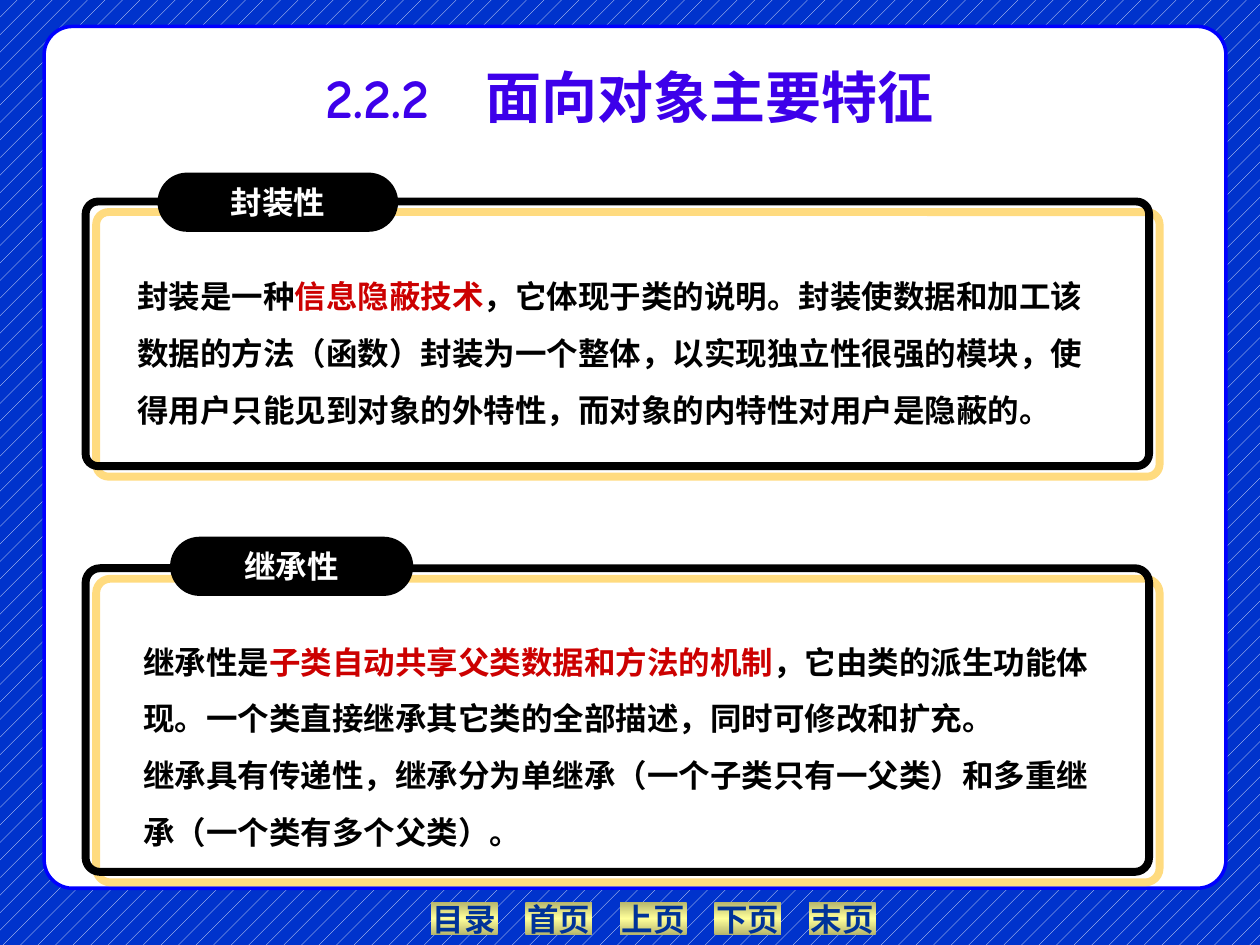
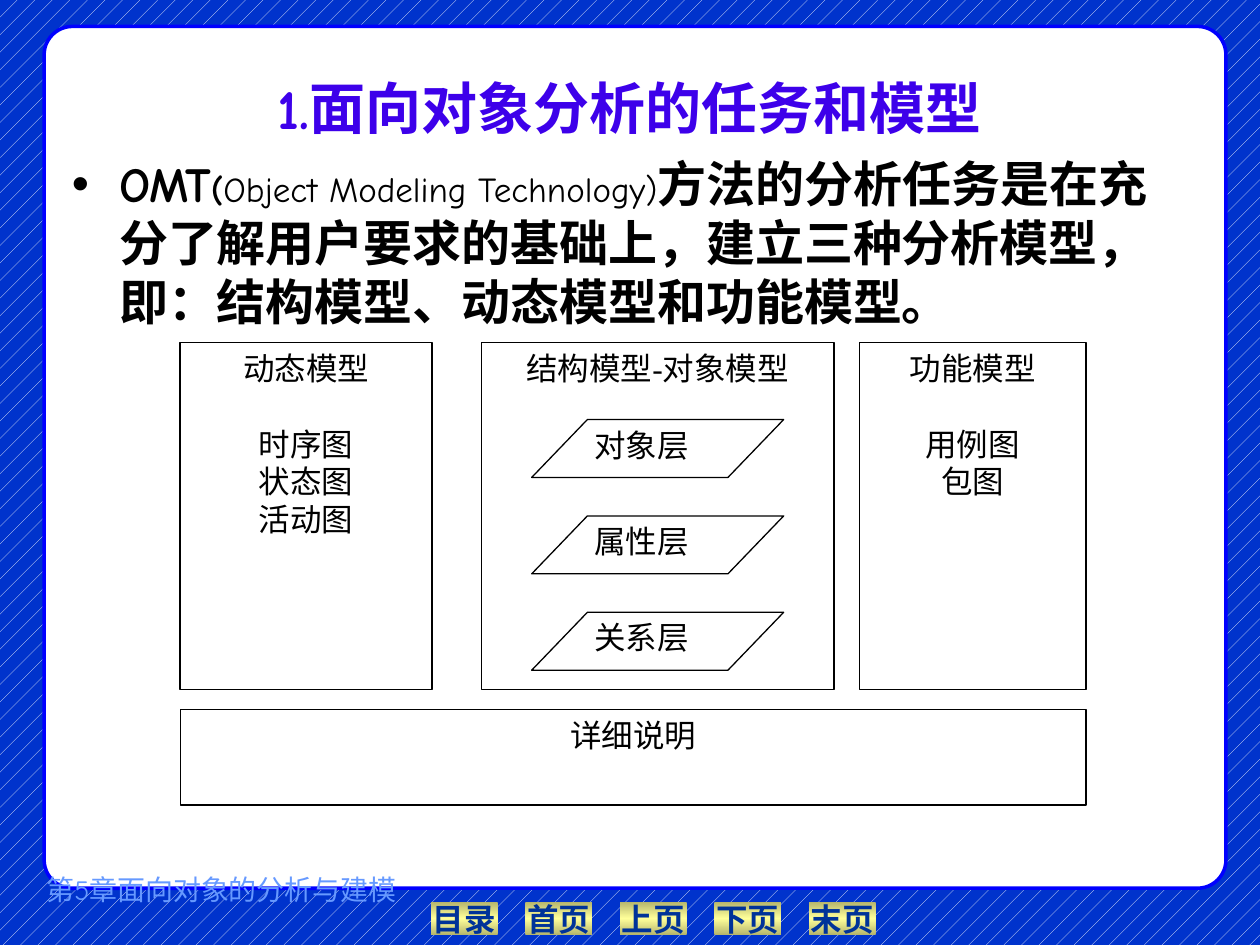
from lxml.etree import SubElement
from pptx import Presentation
from pptx.dml.color import RGBColor
from pptx.enum.dml import MSO_PATTERN
from pptx.enum.shapes import MSO_SHAPE
from pptx.enum.text import MSO_ANCHOR, MSO_AUTO_SIZE, PP_ALIGN
from pptx.oxml.ns import qn
from pptx.util import Inches, Pt

COLORS = {
    "backdrop": "0033CC", "white": "FFFFFF", "black": "000000",
    "frame": "0000FF", "title": "3D00EA", "accent": "CC0000",
    "shadow": "FFB800", "button_edge": "B6B66D", "button_middle": "FFFF99",
    "button_text": "003399", "chapter": "6699FF",
}
COMIC = "Comic Neue"
TIMES = "Times New Roman"
CHINESE = "Noto Sans CJK SC"
LINE_HEIGHT = 1.2

BUTTONS = ["目录", "首页", "上页", "下页", "末页"]

FEATURES_TITLE = "2.2.2　面向对象主要特征"
FEATURES = [
    {"name": "继承性", "card": (0.68, 4.51, 8.44, 2.41),
     "pill": (1.35, 4.26, 1.93, 0.47), "body": (1.04, 4.9, 7.88, 1.91),
     "paragraphs": [
         [("继承性是", "black"), ("子类自动共享父类数据和方法的机制", "accent"),
          ("，它由类的派生功能体现。一个类直接继承其它类的全部描述，同时可修改和扩充。", "black")],
         [("继承具有传递性，继承分为单继承（一个子类只有一父类）和多重继承（一个类有多个父类）。", "black")]]},
    {"name": "封装性", "card": (0.68, 1.6, 8.44, 2.1),
     "pill": (1.25, 1.37, 1.91, 0.47), "body": (0.99, 2, 7.88, 1.45),
     "paragraphs": [
         [("封装是一种", "black"), ("信息隐蔽技术", "accent"),
          ("，它体现于类的说明。封装使数据和加工该数据的方法（函数）封装为一个整体，"
           "以实现独立性很强的模块，使得用户只能见到对象的外特性，而对象的内特性对用户是隐蔽的。", "black")]]},
]

MODELS_TITLE = "1.面向对象分析的任务和模型"
MODELS_INTRO = [
    ("OMT", 28, True), ("(", 20, True), ("Object Modeling Technology)", 20, False),
    ("方法的分析任务是在充分了解用户要求的基础上，建立三种分析模型，即：结构模型、动态模型和功能模型。", 28, True),
]
CHAPTER = "第5章面向对象的分析与建模"
MODELS = [
    ((1.43, 2.72, 2, 2.75), "动态模型", ["时序图", "状态图", "活动图"]),
    ((3.82, 2.72, 2.8, 2.75), "结构模型-对象模型", []),
    ((6.82, 2.72, 1.8, 2.75), "功能模型", ["用例图", "包图"]),
    ((1.43, 5.63, 7.19, 0.76), "详细说明", []),
]
LAYERS = ["对象层", "属性层", "关系层"]
LAYER_TOP, LAYER_STEP = 3.33, 0.765


def rgb(color):
    return RGBColor.from_string(COLORS[color])


def place(item, area):
    item.left, item.top, item.width, item.height = map(Inches, area)


def format_paragraph(para, size, font, color, bold=False, align=PP_ALIGN.LEFT, spacing=1):
    para.alignment = align
    para.line_spacing = Pt(round(size * LINE_HEIGHT * spacing, 1))
    para.font.size = Pt(size)
    para.font.name = font
    para.font.bold = bold
    para.font.color.rgb = rgb(color)
    defaults = para._p.pPr.find(qn("a:defRPr"))
    SubElement(defaults, qn("a:ea")).set("typeface", CHINESE)


def add_span(para, text):
    span = para.add_run()
    span.text = text
    return span


def add_shape(page, kind, area, fill=None, line=None, width=0.75, adjust=None):
    shape = page.shapes.add_shape(kind, *map(Inches, area))
    shape.shadow.inherit = False
    if adjust is not None:
        shape.adjustments[0] = adjust
    if fill:
        shape.fill.solid()
        shape.fill.fore_color.rgb = rgb(fill)
    else:
        shape.fill.background()
    if line:
        shape.line.color.rgb = rgb(line)
        shape.line.width = Pt(width)
    else:
        shape.line.fill.background()
    return shape


def add_text_box(page, area, anchor=MSO_ANCHOR.TOP):
    box = page.shapes.add_textbox(*map(Inches, area))
    box.text_frame.word_wrap = True
    box.text_frame.vertical_anchor = anchor
    return box.text_frame


def add_label(shape, text, font, color):
    frame = shape.text_frame
    frame.word_wrap = False
    frame.vertical_anchor = MSO_ANCHOR.MIDDLE
    frame.text = text
    format_paragraph(frame.paragraphs[0], 18, font, color, True, PP_ALIGN.CENTER)


def add_gradient(shape):
    shape.fill.gradient()
    shape.fill.gradient_angle = 270
    stops = shape.element.spPr.find(qn("a:gradFill")).find(qn("a:gsLst"))
    for stop in list(stops):
        stops.remove(stop)
    for position, color in [(0, "button_edge"), (50000, "button_middle"), (100000, "button_edge")]:
        stop = SubElement(stops, qn("a:gs"), pos=str(position))
        SubElement(stop, qn("a:srgbClr"), val=COLORS[color])


def add_offset_shadow(shape):
    effects = shape.element.spPr.find(qn("a:effectLst"))
    shadow = SubElement(effects, qn("a:outerShdw"), blurRad="0", dist=str(Pt(8.5)),
                        dir="2700000", algn="ctr", rotWithShape="0")
    color = SubElement(shadow, qn("a:srgbClr"), val=COLORS["shadow"])
    SubElement(color, qn("a:alpha"), val="50000")


def set_backdrop(deck):
    fill = deck.slide_master.background.fill
    fill.patterned()
    fill.pattern = MSO_PATTERN.PERCENT_5
    fill.fore_color.rgb = rgb("white")
    fill.back_color.rgb = rgb("backdrop")


def add_page(deck, layout, title_text, title_area):
    page = deck.slides.add_slide(deck.slide_layouts[layout])
    title = page.shapes.title
    panel = add_shape(page, MSO_SHAPE.ROUNDED_RECTANGLE, (0.35, 0.21, 9.38, 6.84),
                      "white", "frame", 2, 0.033)
    title.element.addprevious(panel.element)
    for index, name in enumerate(BUTTONS):
        button = add_shape(page, MSO_SHAPE.ACTION_BUTTON_CUSTOM,
                           (3.42 + 0.75 * index, 7.16, 0.53, 0.26))
        add_gradient(button)
        add_label(button, name, TIMES, "button_text")
        title.element.addprevious(button.element)
    place(title, title_area)
    frame = title.text_frame
    frame.auto_size = MSO_AUTO_SIZE.NONE
    frame.vertical_anchor = MSO_ANCHOR.BOTTOM
    frame.text = title_text
    format_paragraph(frame.paragraphs[0], 32, COMIC, "title", True, PP_ALIGN.CENTER)
    return page


def add_feature(page, feature):
    frame = add_text_box(page, feature["body"])
    for index, spans in enumerate(feature["paragraphs"]):
        para = frame.add_paragraph() if index else frame.paragraphs[0]
        format_paragraph(para, 18, COMIC, "black", True, spacing=1.5)
        for text, color in spans:
            add_span(para, text).font.color.rgb = rgb(color)
    card = add_shape(page, MSO_SHAPE.ROUNDED_RECTANGLE, feature["card"],
                     line="black", width=4.5, adjust=0.047)
    add_offset_shadow(card)
    pill = add_shape(page, MSO_SHAPE.ROUNDED_RECTANGLE, feature["pill"], "black", adjust=0.5)
    add_label(pill, feature["name"], CHINESE, "white")


def add_intro(page):
    body = page.placeholders[1]
    place(body, (0.47, 1.17, 9, 1.77))
    body.text_frame.auto_size = MSO_AUTO_SIZE.NONE
    para = body.text_frame.paragraphs[0]
    format_paragraph(para, 28, COMIC, "black", True)
    for text, size, bold in MODELS_INTRO:
        span = add_span(para, text)
        span.font.size = Pt(size)
        span.font.bold = bold


def add_model(page, area, heading, diagrams):
    box = add_shape(page, MSO_SHAPE.RECTANGLE, area, "white", "black")
    frame = box.text_frame
    frame.vertical_anchor = MSO_ANCHOR.TOP
    frame.text = "\n".join([heading] + diagrams)
    for index, para in enumerate(frame.paragraphs):
        format_paragraph(para, 18, TIMES, "black", align=PP_ALIGN.CENTER)
        if index == 1:
            para.space_before = Pt(18 * LINE_HEIGHT)


def add_layer(page, index, name):
    top = LAYER_TOP + LAYER_STEP * index
    add_shape(page, MSO_SHAPE.PARALLELOGRAM, (4.22, top, 2, 0.46), "white", "black", adjust=0.962)
    frame = add_text_box(page, (4.62, top, 1.2, 0.46))
    frame.text = name
    format_paragraph(frame.paragraphs[0], 18, TIMES, "black", align=PP_ALIGN.JUSTIFY)


def build_features_page(deck):
    page = add_page(deck, 5, FEATURES_TITLE, (0.5, 0.25, 9, 0.83))
    for feature in FEATURES:
        add_feature(page, feature)


def build_models_page(deck):
    page = add_page(deck, 1, MODELS_TITLE, (0.5, 0.3, 9, 0.87))
    add_intro(page)
    chapter = add_text_box(page, (0.27, 6.74, 3.15, 0.5), MSO_ANCHOR.BOTTOM)
    chapter.text = CHAPTER
    format_paragraph(chapter.paragraphs[0], 16, COMIC, "chapter")
    for model in MODELS:
        add_model(page, *model)
    for index, name in enumerate(LAYERS):
        add_layer(page, index, name)


def main():
    deck = Presentation()
    deck.slide_width, deck.slide_height = Inches(10), Inches(7.5)
    set_backdrop(deck)
    build_features_page(deck)
    build_models_page(deck)
    deck.save("out.pptx")


if __name__ == "__main__":
    main()
